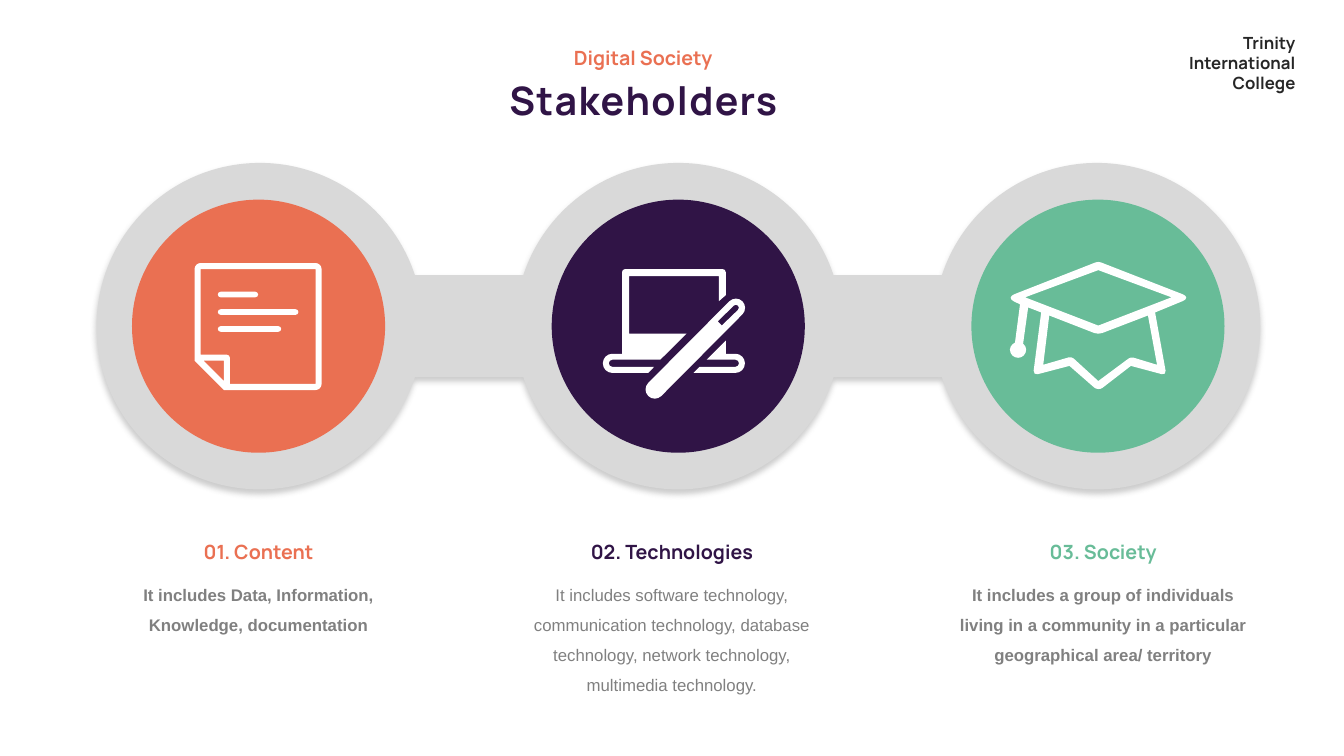
import math
import pptx
import pptx.dml.color
import pptx.enum.shapes
import pptx.enum.text
import pptx.oxml
import pptx.util

# Content
INK, GREY, CHAIN, WHITE = "301446", "808080", "D9D9D9", "FFFFFF"
ORANGE, GREEN = "EA7052", "68BC98"
COLLEGE = "Trinity International College"
TOPIC, TITLE = "Digital Society", "Stakeholders"
# (heading, colour, body, bold body, text centre x, body height)
STAKEHOLDERS = [
    ("01. Content", ORANGE,
     "It includes Data, Information, Knowledge, documentation", True, 184.7, 49),
    ("02. Technologies", INK,
     "It includes software technology, communication technology, database "
     "technology, network technology, multimedia technology.", False, 480, 92.2),
    ("03. Society", GREEN,
     "It includes a group of individuals living in a community in a particular "
     "geographical area/ territory", True, 788, 70.6),
]

# Layout
CENTRE_X, STEP, CENTRE_Y = 185.6, 299, 233
RING_R, BAR_HALF = 116.6, 36.4
DISC_X, DISC_STEP, DISC_R = 184.7, 299.8, 90.4
KAPPA = 0.55  # control distance of a quarter circle


def capsule(x1, y1, x2, y2, r):
    """Corners (x, y, rounding) of a round-ended bar between two centres."""
    d = math.hypot(x2 - x1, y2 - y1)
    ux, uy = (x2 - x1) / d * r, (y2 - y1) / d * r
    return [(x1 - ux + uy, y1 - uy - ux, r), (x2 + ux + uy, y2 + uy - ux, r),
            (x2 + ux - uy, y2 + uy + ux, r), (x1 - ux - uy, y1 - uy + ux, r)]


# Icons: (left, top, contours); a vertex is (x, y) or (x, y, corner rounding)
PAGE = (139, 187.9, [
    [(0, 0, 4.3), (90.7, 0, 4.3), (90.7, 90.7, 4.3), (20.9, 90.7), (0, 69.8)],
    [(4.3, 4.3), (86.4, 4.3), (86.4, 86.4), (25.2, 86.4), (25.2, 65.5, 2.1),
     (4.3, 65.5)],
    [(20.9, 84.2), (6.5, 69.8), (20.9, 69.8)],
] + [capsule(18.6, y, end, y, 2) for y, end in ((22.5, 43.4), (35, 72.2), (47.1, 59.9))])
LAPTOP = (430.6, 192.2, [
    capsule(95, 27.7, 37.1, 86, 6.6),
    [(85, 40.3), (82.1, 37.4), (95, 24.6, 2.2), (98.1, 27.7, 2.2)],
    [(87.8, 60.5), (87.8, 51.1), (74.2, 64.8), (97.2, 64.8, 2.4),
     (97.2, 69.8, 2.4), (69.1, 69.8), (64.8, 74.2), (101.5, 74.2, 6.8),
     (101.5, 60.5, 6.8)],
    [(36.7, 69.8), (4.3, 69.8, 2.4), (4.3, 64.8, 2.4), (41, 64.8), (59.8, 46.1),
     (18.7, 46.1), (18.7, 5), (82.8, 5), (82.8, 23), (87.8, 18.7),
     (87.8, 0, 2.2), (13.7, 0, 2.2), (13.7, 60.5), (0, 60.5, 6.8),
     (0, 74.2, 6.8), (32.4, 74.2)],
])
CAP = (721.4, 187.2, [
    [(63.1, -0.5, 2), (129.5, 25.4, 6.5), (103.7, 36), (111.8, 81, 3.5),
     (86.4, 74.2), (63.1, 92.2, 4), (42.5, 74.2), (16.5, 81, 3.5), (22.3, 36),
     (13, 32.4), (9.4, 58.3), (11.6, 59.8, 2.6), (11.6, 68.4, 5.8),
     (0, 68.4, 5.8), (0, 59.8, 2.6), (3.6, 57.6), (7.2, 30.2), (-3, 25.4, 6.5)],
    [(63.1, 45.4), (10.8, 25.2), (63.1, 5.8), (115.4, 25.2)],
    [(105.1, 73.4), (86.4, 67.7, 2), (63.1, 85), (44, 67.5, 2), (23.8, 73.4),
     (28.1, 38.2), (63.1, 51.8, 3), (98.6, 38.2)],
])


def colour(value):
    return pptx.dml.color.RGBColor.from_string(value)


def paint(sp, fill):
    sp.shadow.inherit = False
    sp.fill.solid()
    sp.fill.fore_color.rgb = colour(fill)
    sp.line.fill.background()


def rounded(vertices):
    """Segments of one point (line) or three points (curve) for a contour."""
    segments = []
    for i, (x, y, *rounding) in enumerate(vertices):
        if not rounding:
            segments.append([(x, y)])
            continue
        ends = []
        for other in (vertices[i - 1], vertices[(i + 1) % len(vertices)]):
            k = rounding[0] / math.hypot(other[0] - x, other[1] - y)
            ends.append((x + (other[0] - x) * k, y + (other[1] - y) * k))
        controls = [(a + (x - a) * KAPPA, b + (y - b) * KAPPA) for a, b in ends]
        segments += [[ends[0]], [*controls, ends[1]]]
    return segments


def arc(cx, start, end):
    """Clockwise ring arc, angles in degrees, as segments around y = 0."""
    count = math.ceil((start - end) / 90)
    sweep = math.radians((end - start) / count)
    h = 4 / 3 * math.tan(sweep / 4)

    def on_ring(a, tangent):
        return (cx + RING_R * (math.cos(a) - tangent * math.sin(a)),
                -RING_R * (math.sin(a) + tangent * math.cos(a)))

    angles = [math.radians(start) + sweep * n for n in range(count + 1)]
    return [[on_ring(angles[0], 0)]] + [
        [on_ring(a, h), on_ring(b, -h), on_ring(b, 0)]
        for a, b in zip(angles, angles[1:])]


def add_outline(s, left, top, contours, fill):
    builder = None
    for segments in contours:
        points = [(pptx.util.Pt(left + x), pptx.util.Pt(top + y))
                  for seg in segments for x, y in seg]
        if builder:
            builder.move_to(*points[0])
        else:
            builder = s.shapes.build_freeform(*points[0], scale=1.0)
        builder.add_line_segments(points[1:], close=True)
    sp = builder.convert_to_shape()
    paint(sp, fill)
    # Turn each run of three curve points into one Bezier command
    outline = sp._element.spPr.find(".//" + pptx.oxml.ns.qn("a:path"))
    commands = iter(list(outline))
    for segments in contours:
        for seg in segments:
            nodes = [next(commands) for _ in seg]
            if len(seg) == 3:
                curve = outline.makeelement(pptx.oxml.ns.qn("a:cubicBezTo"))
                nodes[0].addprevious(curve)
                for node in nodes:
                    curve.append(node[0])
                    outline.remove(node)
        next(commands)  # close
    return sp


def add_text(s, box, text, size, fill, font="Manrope", bold=True,
             align="CENTER", spacing=None, tracking=None):
    tf = s.shapes.add_textbox(*map(pptx.util.Pt, box)).text_frame
    tf.word_wrap = True
    tf.auto_size = pptx.enum.text.MSO_AUTO_SIZE.SHAPE_TO_FIT_TEXT
    p = tf.paragraphs[0]
    p.alignment = getattr(pptx.enum.text.PP_ALIGN, align)
    if spacing:
        p.line_spacing = spacing
    r = p.add_run()
    r.text = text
    r.font.name, r.font.size, r.font.bold = font, pptx.util.Pt(size), bold
    r.font.color.rgb = colour(fill)
    if tracking:
        r.font._element.set("spc", str(tracking * 100))


def main():
    prs = pptx.Presentation()
    prs.slide_width, prs.slide_height = pptx.util.Pt(960), pptx.util.Pt(540)
    s = prs.slides.add_slide(prs.slide_layouts[6])

    # Chain of three rings and two bars, with its soft shadow
    gap = math.degrees(math.asin(BAR_HALF / RING_R))
    arcs = [(0, -gap, gap - 360), (1, 180 - gap, gap),
            (2, 180 - gap, gap - 180), (1, -gap, gap - 180)]
    links = [seg for i, start, end in arcs
             for seg in arc(CENTRE_X + i * STEP, start, end)]
    chain = add_outline(s, 0, CENTRE_Y, [links], CHAIN)
    effects = chain._element.spPr.find(pptx.oxml.ns.qn("a:effectLst"))
    effects.append(pptx.oxml.parse_xml(
        '<a:outerShdw xmlns:a="http://schemas.openxmlformats.org/drawingml/2006/main" '
        'blurRad="50800" dist="38100" dir="5400000" algn="t" rotWithShape="0">'
        '<a:srgbClr val="808080"><a:alpha val="40000"/></a:srgbClr></a:outerShdw>'))

    # Discs, headings and descriptions
    for i, (heading, fill, body, bold, x, height) in enumerate(STAKEHOLDERS):
        disc = (DISC_X + i * DISC_STEP - DISC_R, CENTRE_Y - DISC_R, 2 * DISC_R, 2 * DISC_R)
        paint(s.shapes.add_shape(pptx.enum.shapes.MSO_SHAPE.OVAL,
                                 *map(pptx.util.Pt, disc)), fill)
        add_text(s, (x - 112, 406.6, 224, height), body, 12, GREY, "Arial", bold,
                 spacing=1.5)
        add_text(s, (x - 85, 382.3, 170, 24.5), heading, 14, fill)

    # Icons
    for left, top, contours in (PAGE, LAPTOP, CAP):
        add_outline(s, left, top, [rounded(c) for c in contours], WHITE)

    # Title block and college name
    add_text(s, (296.9, 51.1, 325.4, 41), TITLE, 28, INK, tracking=1)
    add_text(s, (311.5, 29.5, 295.9, 24.5), TOPIC, 14, ORANGE)
    add_text(s, (823, 19.8, 109.4, 51.1), COLLEGE, 12, "262626", align="RIGHT")

    prs.save("out.pptx")


if __name__ == "__main__":
    main()
